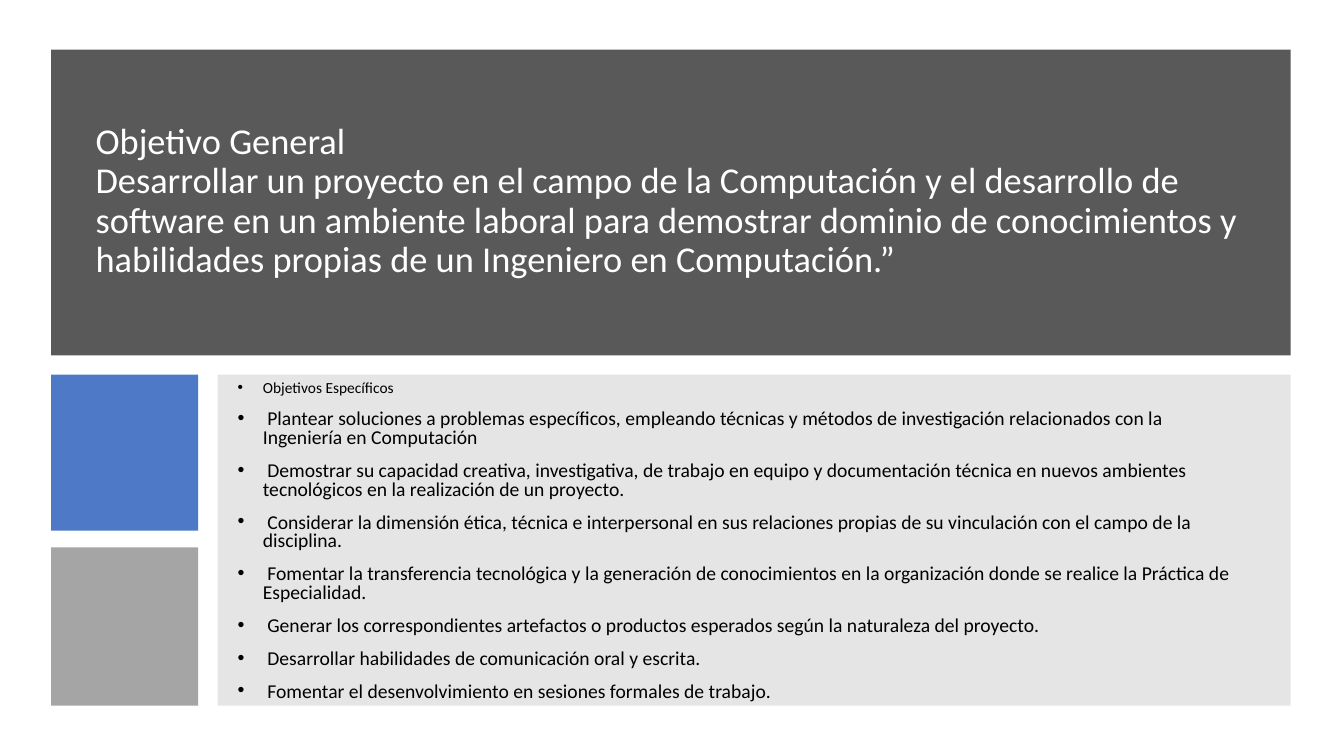
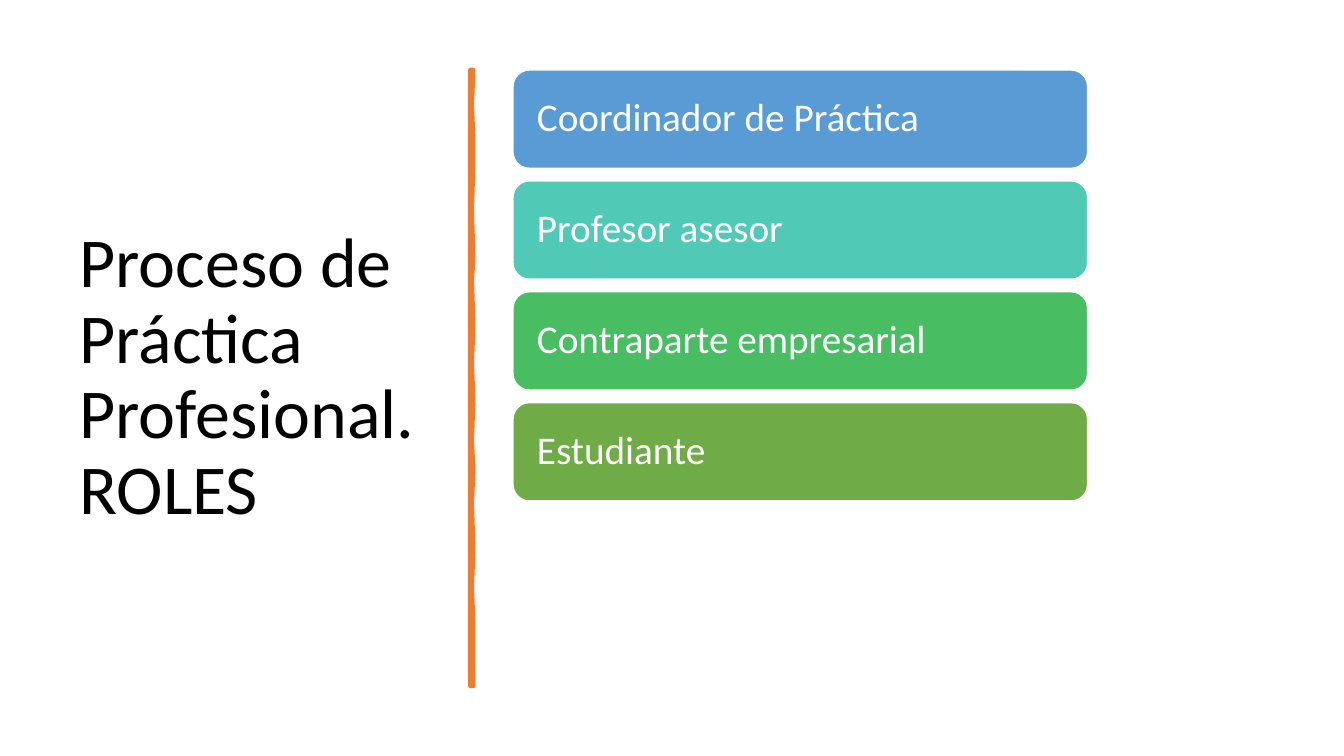
from lxml import etree
from pptx import Presentation
from pptx.dml.color import RGBColor
from pptx.enum import shapes, text
from pptx.oxml import ns
from pptx.util import Pt

FONT = "Calibri"
BLACK = RGBColor(0x00, 0x00, 0x00)
WHITE = RGBColor(0xFF, 0xFF, 0xFF)
CHARCOAL = RGBColor(0x59, 0x59, 0x59)
MID_GREY = RGBColor(0x7F, 0x7F, 0x7F)
GREY = RGBColor(0xA5, 0xA5, 0xA5)
BLUE = RGBColor(0x44, 0x72, 0xC4)
ORANGE = RGBColor(0xED, 0x7D, 0x31)
RECT = shapes.MSO_SHAPE.RECTANGLE
ROUNDED = shapes.MSO_SHAPE.ROUNDED_RECTANGLE

GENERAL_OBJECTIVE = [
    "Objetivo General",
    "Desarrollar un proyecto en el campo de la Computación y el desarrollo de software "
    "en un ambiente laboral para demostrar dominio de conocimientos y habilidades "
    "propias de un Ingeniero en Computación.”",
]
SPECIFIC_HEADING = "Objetivos Específicos"
SPECIFIC_OBJECTIVES = [
    " Plantear soluciones a problemas específicos, empleando técnicas y métodos de "
    "investigación relacionados con la Ingeniería en Computación",
    " Demostrar su capacidad creativa, investigativa, de trabajo en equipo y documentación "
    "técnica en nuevos ambientes tecnológicos en la realización de un proyecto.",
    " Considerar la dimensión ética, técnica e interpersonal en sus relaciones propias de "
    "su vinculación con el campo de la disciplina.",
    " Fomentar la transferencia tecnológica y la generación de conocimientos en la "
    "organización donde se realice la Práctica de Especialidad.",
    " Generar los correspondientes artefactos o productos esperados según la naturaleza "
    "del proyecto.",
    " Desarrollar habilidades de comunicación oral y escrita.",
    " Fomentar el desenvolvimiento en sesiones formales de trabajo.",
]
# left, top, width, height, colour, opacity in percent
PANELS = [
    (36.5, 35.5, 885.5, 218.5, CHARCOAL, 100),
    (36.5, 267.5, 105, 111.5, BLUE, 95),
    (36.5, 391, 105, 113, GREY, 100),
    (155.5, 267.5, 766.5, 236.5, MID_GREY, 20),
]

ROLES_TITLE = "Proceso de Práctica Profesional. ROLES"
ROLES = [
    ("Coordinador de Práctica", RGBColor(0x59, 0x9B, 0xD5)),
    ("Profesor asesor", RGBColor(0x50, 0xC9, 0xB6)),
    ("Contraparte empresarial", RGBColor(0x48, 0xBD, 0x62)),
    ("Estudiante", RGBColor(0x6F, 0xAB, 0x46)),
]
ROLE_LEFT, ROLE_TOP, ROLE_WIDTH, ROLE_HEIGHT, ROLE_PITCH = 366.5, 50, 410.4, 70.2, 79.2

# height on the slide, left edge, right edge of the brush stroke
STROKE = [
    (49.8, 336.2, 337.6), (75, 336.4, 337.3), (100, 335.7, 337.8), (115, 336.5, 337.7),
    (150, 336, 337.2), (185, 336.3, 337.7), (200, 336.4, 337.4), (232, 335.8, 337.8),
    (260, 336.5, 337.2), (285, 336, 337.6), (315, 335.8, 337.4), (335, 336.5, 337.6),
    (360, 335.8, 337.3), (392, 336.5, 337.5), (420, 336.3, 337.2), (445, 335.7, 338.2),
    (465, 336, 338.2), (489.6, 336.2, 337.6),
]


def write(box, lines, size, color, spacing=0.9, margins=(7.2, 3.6)):
    """Fill a box with (text, format) lines; a format may override the size."""
    frame = box.text_frame
    side, edge = map(Pt, margins)
    settings = dict(word_wrap=True, vertical_anchor=text.MSO_ANCHOR.MIDDLE,
                    margin_left=side, margin_right=side, margin_top=edge, margin_bottom=edge)
    for name, value in settings.items():
        setattr(frame, name, value)
    for index, (line, changes) in enumerate(lines):
        para = frame.add_paragraph() if index else frame.paragraphs[0]
        para.line_spacing = spacing
        para.alignment = text.PP_ALIGN.LEFT
        span = para.add_run()
        span.text = line
        for name, value in {"name": FONT, "size": Pt(size), **changes}.items():
            setattr(span.font, name, value)
        span.font.color.rgb = color
    return frame.paragraphs


def add_text(page, area, *content, **options):
    return write(page.shapes.add_textbox(*map(Pt, area)), *content, **options)


def add_panel(page, area, color, opacity=100, kind=RECT):
    panel = page.shapes.add_shape(kind, *map(Pt, area))
    panel.shadow.inherit = False
    panel.fill.solid()
    panel.fill.fore_color.rgb = color
    panel.line.fill.background()
    if opacity < 100:
        swatch = panel.fill._xPr.find(".//" + ns.qn("a:srgbClr"))
        etree.SubElement(swatch, ns.qn("a:alpha"), val=str(opacity * 1000))
    return panel


def add_bullet(para, indent=18):
    props = para._p.get_or_add_pPr()
    props.set("marL", str(Pt(indent)))
    props.set("indent", str(-Pt(indent)))
    tint = etree.SubElement(props, ns.qn("a:buClr"))
    etree.SubElement(tint, ns.qn("a:srgbClr"), val=str(BLACK))
    etree.SubElement(props, ns.qn("a:buFont"), typeface="Arial")
    etree.SubElement(props, ns.qn("a:buChar"), char="•")


def add_stroke(page):
    outline = [(left, y) for y, left, _ in STROKE]
    outline += [(right, y) for y, _, right in reversed(STROKE)]
    builder = page.shapes.build_freeform(*outline[0], scale=Pt(1))
    builder.add_line_segments(outline[1:], close=True)
    stroke = builder.convert_to_shape()
    stroke.shadow.inherit = False
    stroke.fill.solid()
    stroke.fill.fore_color.rgb = ORANGE
    stroke.line.color.rgb = ORANGE
    stroke.line.width = Pt(3.25)


def build_objectives(page):
    for *area, color, opacity in PANELS:
        add_panel(page, area, color, opacity)
    add_text(page, (61.2, 59.8, 836.6, 168.5),
             [(line, {}) for line in GENERAL_OBJECTIVE], 26, WHITE)
    lines = [(SPECIFIC_HEADING, {"size": Pt(11)})]
    lines += [(line, {}) for line in SPECIFIC_OBJECTIVES]
    paras = add_text(page, (162.7, 254.2, 734.4, 265.7), lines, 14, BLACK, spacing=0.8)
    for index, para in enumerate(paras):
        if index:
            para.space_before = Pt(10)
        add_bullet(para)


def build_roles(page):
    add_text(page, (49.7, 50.4, 269.3, 440), [(ROLES_TITLE, {})], 50, BLACK)
    add_stroke(page)
    for index, (role, color) in enumerate(ROLES):
        area = ROLE_LEFT, ROLE_TOP + index * ROLE_PITCH, ROLE_WIDTH, ROLE_HEIGHT
        card = add_panel(page, area, color, kind=ROUNDED)
        card.line.color.rgb = WHITE
        card.line.width = Pt(1)
        write(card, [(role, {})], 28, WHITE, margins=(13.7, 3.6))


def main():
    deck = Presentation()
    deck.slide_width, deck.slide_height = Pt(960), Pt(540)
    for build in (build_objectives, build_roles):
        build(deck.slides.add_slide(deck.slide_layouts[6]))
    deck.save("out.pptx")


if __name__ == "__main__":
    main()
